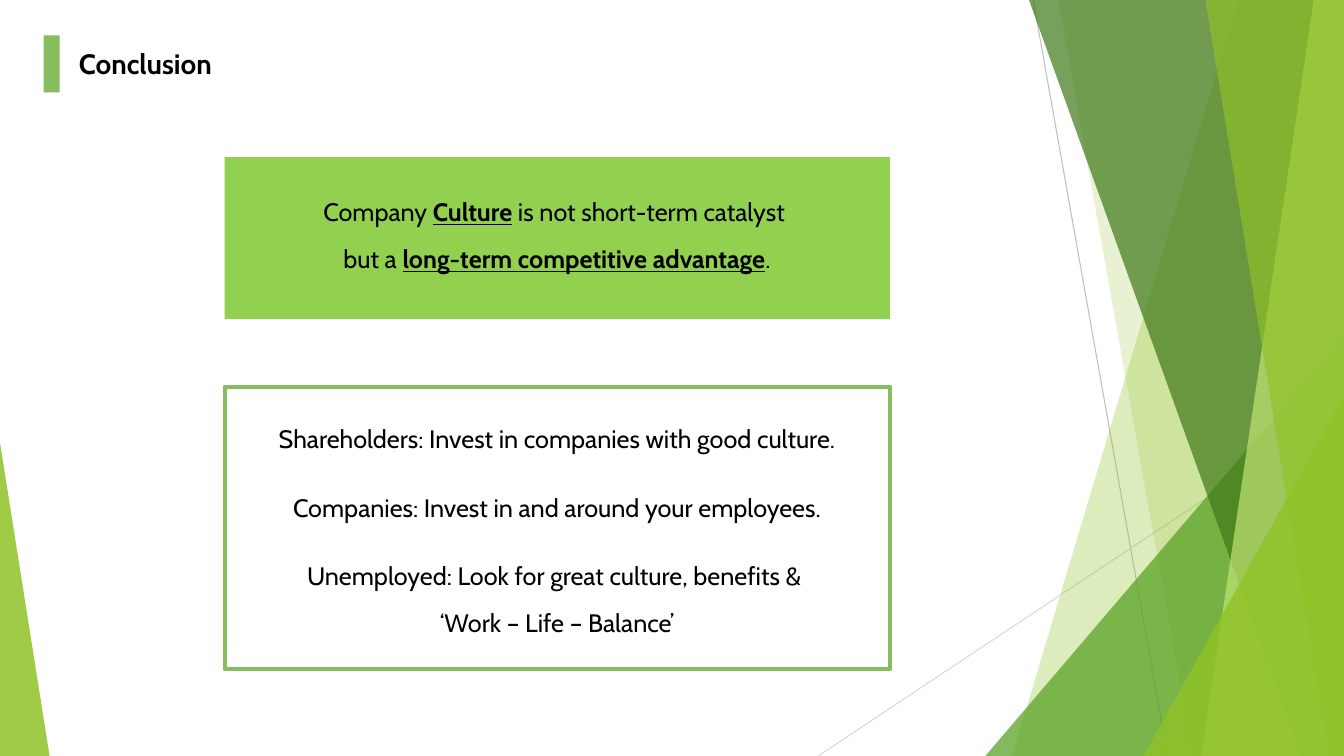
from lxml import etree
from pptx import Presentation
from pptx import util as u
from pptx.dml.color import RGBColor
from pptx.enum import shapes, text
from pptx.oxml.ns import qn

theme = {
    "lime": "90C226", "leaf": "54A021", "forest": "3F7819", "mint": "C0E474",
    "banner": "92D050", "accent": "85BD5F", "ink": "000000",
    "ray": "BFBFBF", "faint ray": "D9D9D9",
    "font": "Cabin", "title": 20, "body": 18, "gap": 12, "border": 3, "hairline": 0.75,
}
COLUMNS, ROWS = 160, 90

presentation = Presentation()
presentation.slide_width = u.Inches(13.33)
presentation.slide_height = u.Inches(7.5)
slide = presentation.slides.add_slide(presentation.slide_layouts[6])


def place(*lengths):
    sizes = (presentation.slide_width / COLUMNS, presentation.slide_height / ROWS)
    return [u.Emu(round(length * sizes[i % 2])) for i, length in enumerate(lengths)]


def paint(shape, fill=None, opacity=100, line=None):
    shape.shadow.inherit = False
    if fill:
        shape.fill.solid()
        shape.fill.fore_color.rgb = RGBColor.from_string(theme[fill])
        color = shape.fill._xPr.find(qn("a:solidFill"))[0]
        if opacity < 100:
            etree.SubElement(color, qn("a:alpha"), val=str(opacity * 1000))
    else:
        shape.fill.background()
    if line:
        shape.line.color.rgb = RGBColor.from_string(theme[line])
        shape.line.width = u.Pt(theme["border"])
    else:
        shape.line.fill.background()


rays = [
    ((123, 0, 139, ROWS), "ray"),
    ((COLUMNS, 48.4, 97.4, ROWS), "faint ray"),
]
for ends, color in rays:
    ray = slide.shapes.add_connector(shapes.MSO_CONNECTOR.STRAIGHT, *place(*ends))
    ray.line.color.rgb = RGBColor.from_string(theme[color])
    ray.line.width = u.Pt(theme["hairline"])
    etree.SubElement(ray._element.spPr, qn("a:effectLst"))

facets = [
    ("band", (147.4, 120.5), "lime", 30),
    ("band", (126, 142), "lime", 20),
    ("triangle", (117.3, 40, 42.7, 50, 1), "leaf", 72),
    ("band", (122.5, 154.9), "forest", 70),
    ("band", (156.4, 143), "mint", 70),
    ("band", (143.5, 158.2), "lime", 65),
    ("triangle", (136.1, 47.2, 23.9, 42.8, 1), "lime", 80),
    ("triangle", (0, 52.7, 5.9, 37.3, 0), "lime", 85),
]
for kind, geometry, color, opacity in facets:
    if kind == "band":
        top, bottom = geometry
        corners = [(COLUMNS, 0), (COLUMNS, ROWS), (bottom, ROWS)]
        outline = slide.shapes.build_freeform(*place(top, 0), scale=1.0)
        outline.add_line_segments([place(*corner) for corner in corners], close=True)
        facet = outline.convert_to_shape()
    else:
        *box, apex = geometry
        facet = slide.shapes.add_shape(shapes.MSO_SHAPE.ISOSCELES_TRIANGLE, *place(*box))
        facet.adjustments[0] = apex
    paint(facet, color, opacity)

panels = [
    ((26.75, 18.7, 79.2, 19.3), {"fill": "banner"}),
    ((5.2, 4.2, 1.9, 6.8), {"fill": "accent"}),
    ((26.75, 46.1, 79.2, 33.5), {"line": "accent"}),
]
for box, look in panels:
    paint(slide.shapes.add_shape(shapes.MSO_SHAPE.RECTANGLE, *place(*box)), **look)

plain = {"bold": False, "underline": False}
strong = {"bold": True, "underline": True}
heading = {"bold": True}
left, center = text.PP_ALIGN.LEFT, text.PP_ALIGN.CENTER
body_left, body_width = 23.9, 84.8

texts = [
    ((8.2, 5, 19.4, 5.3), "title", left, [[("Conclusion", heading)]]),
    ((body_left, 22.8, body_width, 10.6), "body", center, [
        [("Company ", plain), ("Culture", strong), (" is not short-term catalyst ", plain)],
        [("but a ", plain), ("long-term competitive advantage", strong), (".", plain)],
    ]),
    ((body_left, 49.8, body_width, 4.8), "body", center,
     [[("Shareholders: Invest in companies with good culture.", plain)]]),
    ((body_left, 58, body_width, 4.8), "body", center,
     [[("Companies: Invest in and around your employees.", plain)]]),
    ((body_left, 66.1, body_width, 10.6), "body", center, [
        [("Unemployed: Look for great culture, benefits & ", plain)],
        [("‘Work – Life – Balance’", plain)],
    ]),
]
for box, size, alignment, paragraphs in texts:
    frame = slide.shapes.add_textbox(*place(*box)).text_frame
    frame.word_wrap = True
    for index, runs in enumerate(paragraphs):
        paragraph = frame.add_paragraph() if index else frame.paragraphs[0]
        paragraph.alignment = alignment
        if size == "body":
            paragraph.space_before = u.Pt(theme["gap"])
        for wording, emphasis in runs:
            run = paragraph.add_run()
            run.text = wording
            formats = {"name": theme["font"], "size": u.Pt(theme[size]), **emphasis}
            for attribute, value in formats.items():
                setattr(run.font, attribute, value)
            run.font.color.rgb = RGBColor.from_string(theme["ink"])

presentation.save("out.pptx")
